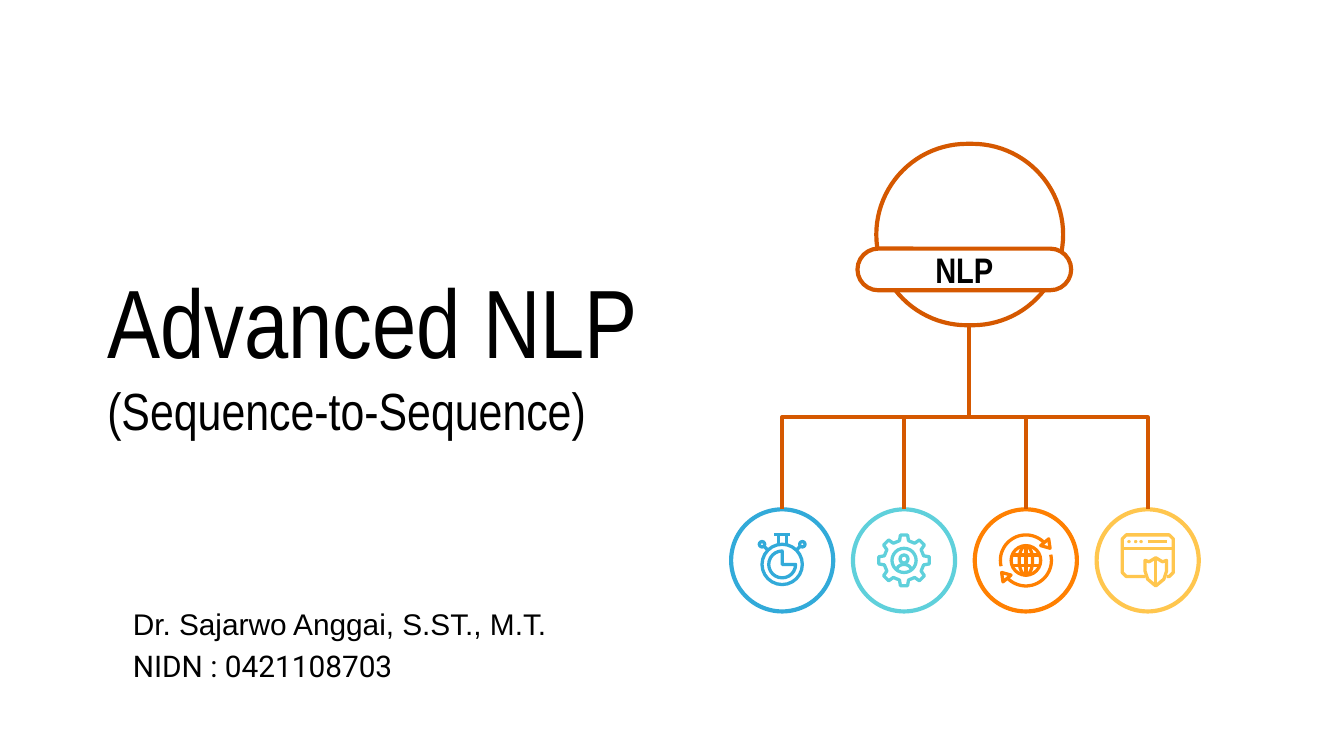
import math

import pptx
import pptx.dml.color
import pptx.enum.shapes
import pptx.enum.text
import pptx.oxml.ns
import pptx.util
from lxml import etree

Inches = pptx.util.Inches
Pt = pptx.util.Pt
RGBColor = pptx.dml.color.RGBColor
Shape = pptx.enum.shapes.MSO_SHAPE
Align = pptx.enum.text.PP_ALIGN
Anchor = pptx.enum.text.MSO_ANCHOR

BLACK = RGBColor(0x00, 0x00, 0x00)
WHITE = RGBColor(0xFF, 0xFF, 0xFF)
RUST = RGBColor(0xD5, 0x58, 0x00)
BLUE = RGBColor(0x32, 0xAA, 0xD9)
TEAL = RGBColor(0x5F, 0xD0, 0xDB)
ORANGE = RGBColor(0xFF, 0x80, 0x01)
YELLOW = RGBColor(0xFF, 0xC6, 0x4E)

BRANCH_LINE = 2.25
ICON_LINE = 1.75


def write_text(shape, lines, size, font, bold=False, align=Align.LEFT,
               anchor=Anchor.TOP, spacing=1.0):
    frame = shape.text_frame
    frame.word_wrap = True
    frame.vertical_anchor = anchor
    frame.margin_left = frame.margin_right = Inches(0.1)
    frame.margin_top = frame.margin_bottom = Inches(0.1)
    para = frame.paragraphs[0]
    para.alignment = align
    para.line_spacing = spacing
    for index, (text, changes) in enumerate(lines):
        if index:
            para.add_line_break()
        span = para.add_run()
        span.text = text
        span.font.size = Pt(changes.get("size", size))
        span.font.name = changes.get("font", font)
        span.font.bold = bold
        span.font.color.rgb = BLACK


def add_text(page, left, top, width, height, lines, **style):
    box = page.shapes.add_textbox(Inches(left), Inches(top), Inches(width), Inches(height))
    write_text(box, lines, **style)


def paint(shape, color, weight, fill=None):
    shape.shadow.inherit = False
    if fill is None:
        shape.fill.background()
    else:
        shape.fill.solid()
        shape.fill.fore_color.rgb = fill
    shape.line.color.rgb = color
    shape.line.width = Pt(weight)
    return shape


def add_preset(page, kind, left, top, width, height, color, weight, fill=None):
    shape = page.shapes.add_shape(
        kind, Inches(left), Inches(top), Inches(width), Inches(height))
    return paint(shape, color, weight, fill)


def add_round(page, x, y, radius, color, kind=Shape.OVAL, weight=ICON_LINE, fill=None):
    return add_preset(page, kind, x - radius, y - radius,
                      2 * radius, 2 * radius, color, weight, fill)


def add_stroke(page, left, top, points, color, close=False):
    spots = [(Inches(left + x), Inches(top + y)) for x, y in points]
    builder = page.shapes.build_freeform(*spots[0])
    builder.add_line_segments(spots[1:], close=close)
    paint(builder.convert_to_shape(), color, ICON_LINE)


def arc_points(x, y, radius, start, end, steps=24):
    angles = [math.radians(start + (end - start) * i / steps) for i in range(steps + 1)]
    return [(x + radius * math.cos(a), y + radius * math.sin(a)) for a in angles]


def draw_stopwatch(page, left, top, color):
    add_round(page, left + 0.2, top + 0.23, 0.15, color)
    add_round(page, left + 0.2, top + 0.23, 0.1, color, kind=Shape.PIE)
    add_stroke(page, left, top, [(0.14, 0.01), (0.26, 0.01)], color)
    for side in (-1, 1):
        add_stroke(page, left, top, [(0.2 + side * 0.03, 0.01), (0.2 + side * 0.03, 0.08)], color)
        add_round(page, left + 0.2 + side * 0.15, top + 0.08, 0.02, color)
        add_stroke(page, left, top,
                   [(0.2 + side * 0.14, 0.09), (0.2 + side * 0.11, 0.12)], color)


def draw_gear(page, left, top, color):
    teeth = []
    for tooth in range(8):
        for offset, radius in ((-13, 0.15), (-8, 0.19), (8, 0.19), (13, 0.15)):
            angle = math.radians(45 * tooth + offset)
            teeth.append((0.2 + radius * math.cos(angle), 0.2 + radius * math.sin(angle)))
    add_stroke(page, left, top, teeth, color, close=True)
    add_round(page, left + 0.2, top + 0.2, 0.09, color)
    add_round(page, left + 0.2, top + 0.19, 0.03, color)
    add_stroke(page, left, top, arc_points(0.2, 0.29, 0.06, 200, 340), color)


def draw_globe(page, left, top, color):
    add_round(page, left + 0.2, top + 0.2, 0.11, color)
    add_preset(page, Shape.OVAL, left + 0.15, top + 0.09, 0.1, 0.22, color, ICON_LINE)
    add_stroke(page, left, top, [(0.2, 0.09), (0.2, 0.31)], color)
    for y in (0.16, 0.24):
        add_stroke(page, left, top, [(0.1, y), (0.3, y)], color)
    orbit = arc_points(0.2, 0.2, 0.19, 167, 318)
    arrow = [(0.31, 0.09), (0.38, 0.11), (0.37, 0.04)]
    for points, close in ((orbit, False), (arrow, True)):
        add_stroke(page, left, top, points, color, close)
        add_stroke(page, left, top, [(0.4 - x, 0.4 - y) for x, y in points], color, close)


def draw_browser(page, left, top, color):
    window = [(0.18, 0.32), (0.04, 0.32), (0.01, 0.29), (0.01, 0.04), (0.04, 0.01),
              (0.36, 0.01), (0.39, 0.04), (0.39, 0.29), (0.36, 0.32), (0.34, 0.32)]
    add_stroke(page, left, top, window, color)
    add_stroke(page, left, top, [(0.01, 0.11), (0.39, 0.11)], color)
    add_stroke(page, left, top, [(0.2, 0.06), (0.34, 0.06)], color)
    for x in (0.06, 0.11, 0.15):
        add_round(page, left + x, top + 0.06, 0.01, color, weight=0.25, fill=color)
    half = [(0.26, 0.18), (0.31, 0.21), (0.34, 0.2), (0.34, 0.28), (0.32, 0.34), (0.26, 0.39)]
    shield = half + [(0.52 - x, y) for x, y in half[-2:0:-1]]
    add_stroke(page, left, top, shield, color, close=True)
    add_stroke(page, left, top, [(0.26, 0.18), (0.26, 0.39)], color)


def add_branch(page, x, top, target, bottom):
    center_x, center_y = (x + target) / 2, (top + bottom) / 2
    reach, drop = abs(target - x) / 2, (bottom - top) / 2
    turn = 1 if target < x else -1
    branch = page.shapes.add_connector(
        pptx.enum.shapes.MSO_CONNECTOR.ELBOW,
        Inches(center_x - turn * drop), Inches(center_y - reach),
        Inches(center_x + turn * drop), Inches(center_y + reach))
    branch.line.color.rgb = RUST
    branch.line.width = Pt(BRANCH_LINE)
    properties = branch._element.spPr
    properties.find(pptx.oxml.ns.qn("a:xfrm")).set("rot", str(turn * 90 % 360 * 60000))
    etree.SubElement(properties, pptx.oxml.ns.qn("a:effectLst"))


def draw_tree(page, left, top, width):
    size, node_top = 0.76, top + 2.74
    pitch = (width - size) / 3
    root_x = left + 1.77
    root = add_preset(page, Shape.ROUNDED_RECTANGLE, root_x - 0.69, top + 0.02,
                      1.39, 1.35, RUST, BRANCH_LINE, WHITE)
    label = add_preset(page, Shape.ROUNDED_RECTANGLE, left + 0.94, top + 0.8,
                       1.59, 0.31, RUST, BRANCH_LINE, WHITE)
    for shape in (root, label):
        shape.adjustments[0] = 0.5
    write_text(label, [("NLP", {})], size=19, font="Arial Narrow", bold=True,
               align=Align.CENTER, anchor=Anchor.MIDDLE)
    nodes = [(draw_stopwatch, BLUE), (draw_gear, TEAL),
             (draw_globe, ORANGE), (draw_browser, YELLOW)]
    for index, (draw_icon, color) in enumerate(nodes):
        x = left + index * pitch
        add_preset(page, Shape.OVAL, x, node_top, size, size, color, BRANCH_LINE, WHITE)
        add_branch(page, root_x, top + 1.37, x + size / 2, node_top)
        draw_icon(page, x + 0.18, node_top + 0.18, color)


def draw_titles(page, left, top):
    add_text(page, left, top, 4.84, 1.67,
             [("Advanced NLP", {}), ("(Sequence-to-Sequence)", {"size": 28})],
             size=52, font="Arial Narrow", anchor=Anchor.MIDDLE)
    add_text(page, left + 0.19, top + 2.59, 3.94, 0.76,
             [("Dr. Sajarwo Anggai, S.ST., M.T.", {}),
              ("NIDN : 0421108703", {"font": "Roboto"})],
             size=16, font="Arial", spacing=1.15)


def main():
    deck = pptx.Presentation()
    deck.slide_width = Inches(10)
    deck.slide_height = deck.slide_width * 9 // 16
    page = deck.slides.add_slide(deck.slide_layouts[6])
    draw_tree(page, 5.44, 1.05, 3.48)
    draw_titles(page, 0.7, 1.78)
    deck.save("out.pptx")


if __name__ == "__main__":
    main()
